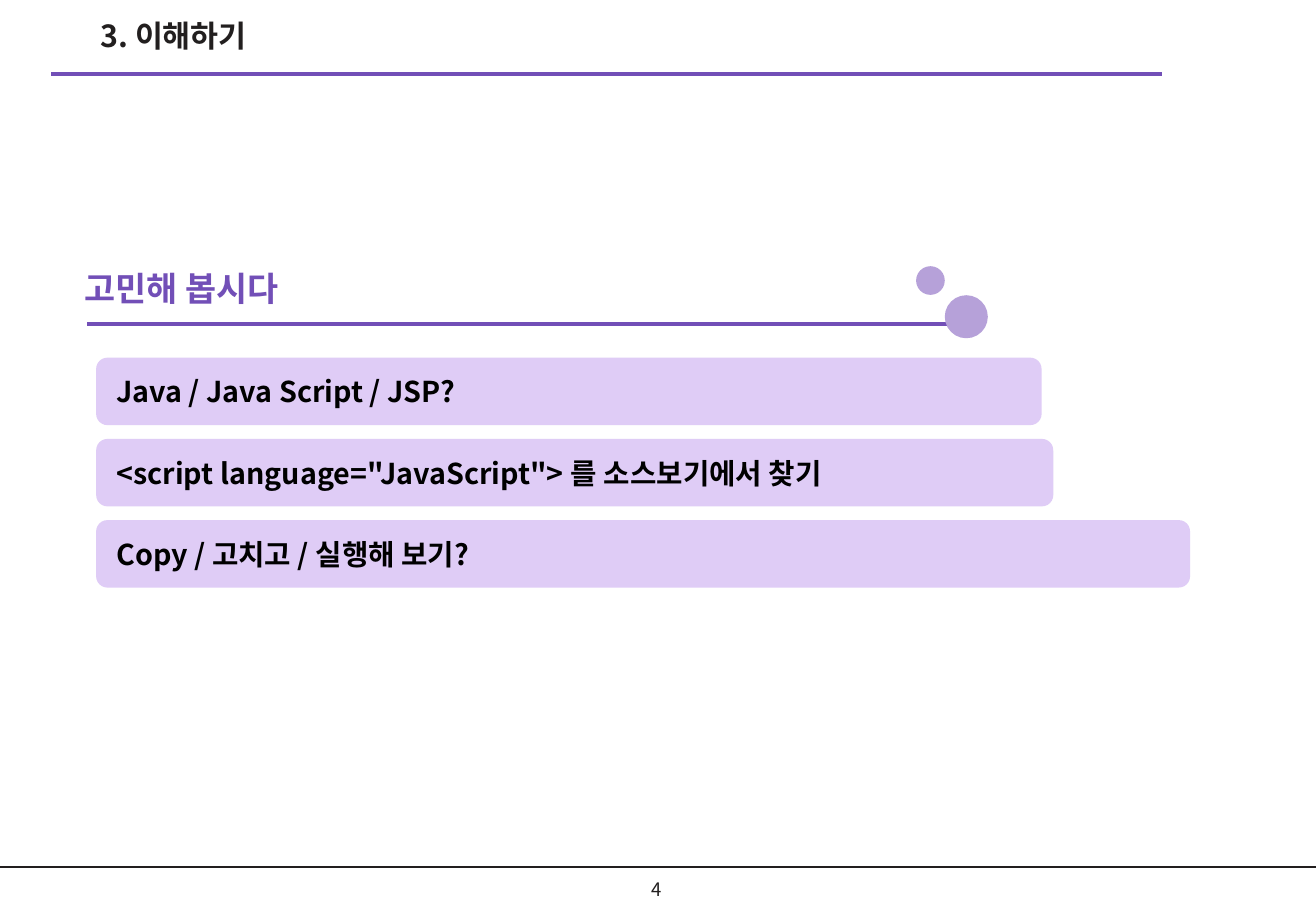
from lxml import etree
from pptx import Presentation
from pptx.dml.color import RGBColor
from pptx.enum.shapes import MSO_CONNECTOR, MSO_SHAPE
from pptx.enum.text import MSO_ANCHOR, PP_ALIGN
from pptx.oxml.ns import qn
from pptx.util import Pt

FONT = "Noto Sans CJK KR"
INK, PURPLE, LILAC, PALE = "221F1F", "724FB7", "B6A1D9", "DFCCF6"


def color(value):
    return RGBColor.from_string(value)


def set_text(sp, text, size, ink, bold=True, align=PP_ALIGN.LEFT,
             anchor=MSO_ANCHOR.MIDDLE, inset=(7.2, 3.6)):
    tf = sp.text_frame
    tf.text = text
    tf.word_wrap = True
    tf.vertical_anchor = anchor
    tf.margin_left = tf.margin_right = Pt(inset[0])
    tf.margin_top = tf.margin_bottom = Pt(inset[1])
    p = tf.paragraphs[0]
    p.alignment = align
    font = p.runs[0].font
    font.name, font.size, font.bold = FONT, Pt(size), bold
    font.color.rgb = color(ink)
    ea = etree.SubElement(p.runs[0]._r.get_or_add_rPr(), qn("a:ea"))
    ea.set("typeface", FONT)


def add_title(s, text, left, top, width, height):
    sp = s.shapes.title
    sp.left, sp.top, sp.width, sp.height = Pt(left), Pt(top), Pt(width), Pt(height)
    set_text(sp, text, 18, INK, anchor=MSO_ANCHOR.TOP, inset=(7.2, 0))


def add_label(s, text, left, top, width, height, size, ink, **style):
    sp = s.shapes.add_textbox(Pt(left), Pt(top), Pt(width), Pt(height))
    set_text(sp, text, size, ink, **style)


def add_rule(s, left, right, y, ink, weight):
    line = s.shapes.add_connector(MSO_CONNECTOR.STRAIGHT, Pt(left), Pt(y), Pt(right), Pt(y))
    line.line.color.rgb = color(ink)
    line.line.width = Pt(weight)
    etree.SubElement(line._element.spPr, qn("a:effectLst"))


def add_filled(s, kind, left, top, width, height, fill):
    sp = s.shapes.add_shape(kind, Pt(left), Pt(top), Pt(width), Pt(height))
    sp.shadow.inherit = False
    sp.fill.solid()
    sp.fill.fore_color.rgb = color(fill)
    sp.line.fill.background()
    return sp


def add_bars(s, bars, left, top, height, pitch):
    for i, (text, width) in enumerate(bars):
        sp = add_filled(s, MSO_SHAPE.FLOWCHART_ALTERNATE_PROCESS,
                        left, top + i * pitch, width, height, PALE)
        set_text(sp, text, 17, "000000", inset=(10, 5))


def main():
    prs = Presentation()
    prs.slide_width, prs.slide_height = Pt(780), Pt(540)
    s = prs.slides.add_slide(prs.slide_layouts[5])

    add_title(s, "3. 이해하기", 52.3, 10.1, 400, 34.6)
    add_rule(s, 30.4, 688.7, 43.8, PURPLE, 2.25)
    add_rule(s, 0, 780, 514, INK, 1)
    add_label(s, "4", 367, 515, 44, 24, 11, INK, bold=False, align=PP_ALIGN.CENTER)

    add_label(s, "고민해 봅시다", 43, 155, 140, 31.5, 20, PURPLE)
    add_rule(s, 51.6, 576.7, 192, PURPLE, 2.25)
    for left, top, size in ((560, 175, 25.5), (543, 157.8, 17)):
        add_filled(s, MSO_SHAPE.OVAL, left, top, size, size, LILAC)

    bars = [
        ("Java / Java Script / JSP?", 560.4),
        ('<script language="JavaScript"> 를 소스보기에서 찾기', 567.3),
        ("Copy / 고치고 / 실행해 보기?", 648.4),
    ]
    add_bars(s, bars, 57, 212, 40, 48.15)

    prs.save("out.pptx")


if __name__ == "__main__":
    main()
